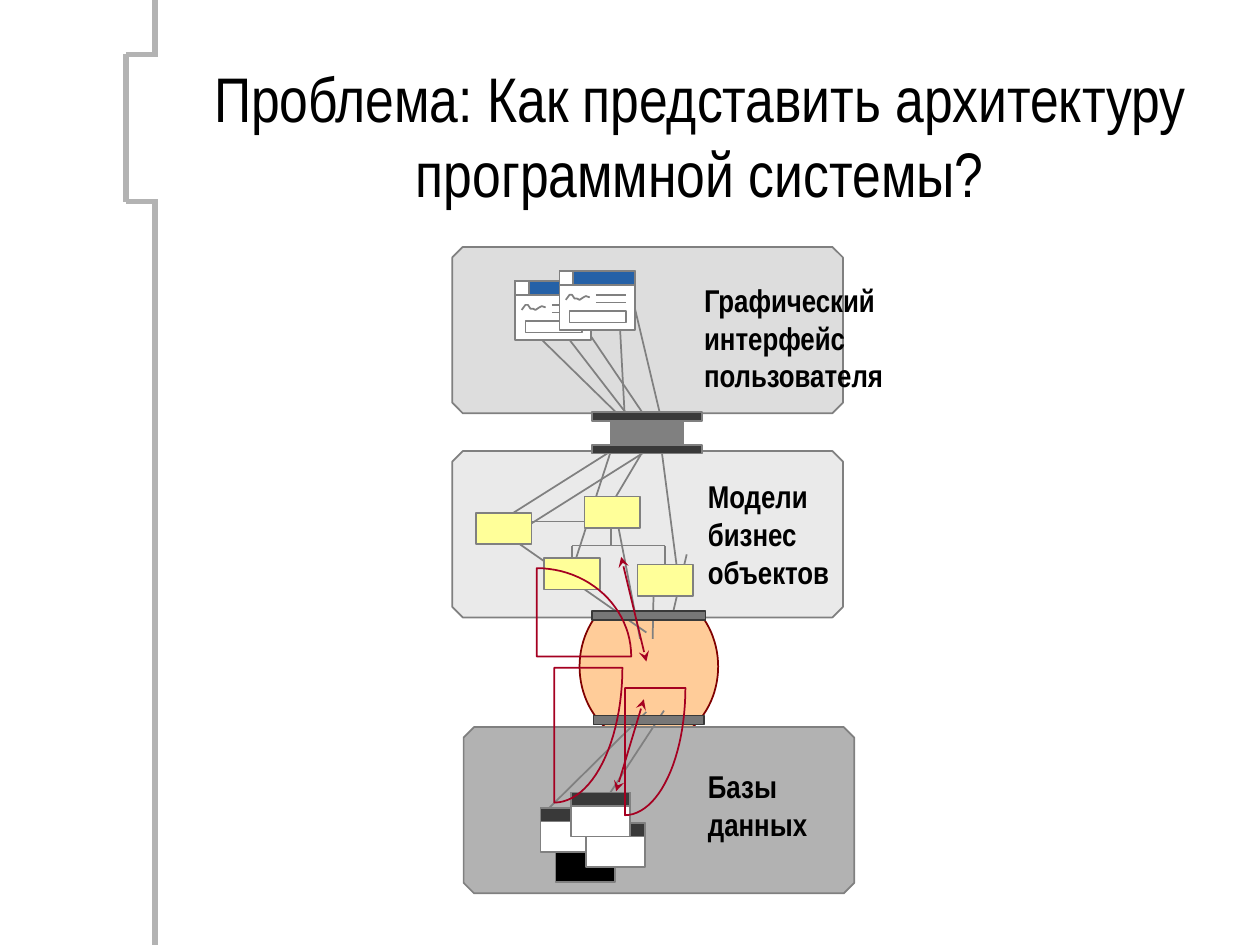
import math

import pptx
import pptx.dml.color
import pptx.enum.shapes
import pptx.enum.text
import pptx.oxml
import pptx.oxml.ns
import pptx.util

Inches = pptx.util.Inches
Pt = pptx.util.Pt
SHAPE = pptx.enum.shapes.MSO_SHAPE
ALIGN = pptx.enum.text.PP_ALIGN
ANCHOR = pptx.enum.text.MSO_ANCHOR
DRAWING_NS = pptx.oxml.ns.nsdecls("a")
COLORS = {
    "black": "000000", "white": "FFFFFF", "frame": "B3B3B3", "gray": "808080",
    "dark": "393939", "plate": "777777", "interface": "DDDDDD", "models": "EAEAEA",
    "databases": "B2B2B2", "peach": "FFCC99", "maroon": "800000",
    "yellow": "FFFF99", "blue": "2561A7", "red": "A50021",
}
COLORS = {name: pptx.dml.color.RGBColor.from_string(value) for name, value in COLORS.items()}

# Sizes shared by repeated parts, in inches
PANEL_WIDTH, PANEL_HEIGHT = 3.1, 1.32
OBJECT_WIDTH, OBJECT_HEIGHT = 0.44, 0.25
WINDOW_WIDTH, WINDOW_HEIGHT = 0.6, 0.47
TABLE_WIDTH, TABLE_HEIGHT = 0.47, 0.35
BAR_HEIGHT = 0.11
PLATE_HEIGHT = 0.07

presentation = pptx.Presentation()
presentation.slide_width = Inches(10)
presentation.slide_height = Inches(7.5)
slide = presentation.slides.add_slide(presentation.slide_layouts[6])


def add_box(text, left, top, width, height, *, kind=SHAPE.RECTANGLE, fill=None, line="gray",
            size=18, bold=True, align=ALIGN.LEFT, anchor=ANCHOR.TOP):
    """Add a filled shape, or a text box when there is no fill."""
    box = [Inches(value) for value in (left, top, width, height)]
    if fill is None:
        shape = slide.shapes.add_textbox(*box)
    else:
        shape = slide.shapes.add_shape(kind, *box)
        shape.shadow.inherit = False
        shape.fill.solid()
        shape.fill.fore_color.rgb = COLORS[fill]
        shape.line.color.rgb = COLORS[line]
        shape.line.width = Pt(1)
    if text:
        frame = shape.text_frame
        frame.word_wrap = True
        frame.vertical_anchor = anchor
        frame.text = text
        for paragraph in frame.paragraphs:
            paragraph.alignment = align
            paragraph.font.name = "Arial Narrow"
            paragraph.font.size = Pt(size)
            paragraph.font.bold = bold
            paragraph.font.color.rgb = COLORS["black"]
    return shape


def add_line(x1, y1, x2, y2, *, color="gray", weight=1, arrows=False):
    connector = slide.shapes.add_connector(
        pptx.enum.shapes.MSO_CONNECTOR.STRAIGHT,
        Inches(x1), Inches(y1), Inches(x2), Inches(y2))
    connector.line.color.rgb = COLORS[color]
    connector.line.width = Pt(weight)
    if arrows:
        for end in ("headEnd", "tailEnd"):
            connector.line._get_or_add_ln().append(
                pptx.oxml.parse_xml(f'<a:{end} {DRAWING_NS} type="stealth"/>'))
    connector._element.spPr.append(pptx.oxml.parse_xml(f"<a:effectLst {DRAWING_NS}/>"))


# Bracket at the left edge: a vertical rule that steps outwards beside the title
rule_x, step_x, step_top, step_bottom = 1.23, 1, 0.43, 1.6
add_line(rule_x, 0, rule_x, step_top, color="frame", weight=3)
add_line(step_x, step_top, step_x, step_bottom, color="frame", weight=3)
add_line(rule_x, step_bottom, rule_x, 7.5, color="frame", weight=3)
for y in (step_top, step_bottom):
    add_line(step_x, y, rule_x + 0.02, y, color="frame", weight=3)

add_box("Проблема: Как представить архитектуру программной системы?",
        1.3, 0.44, 8.51, 1.26, size=36, bold=False, align=ALIGN.CENTER, anchor=ANCHOR.MIDDLE)

# Layers of the system; the round coupling lies behind the panels
add_box("", 4.6, 4.67, 1.1, 1.24, kind=SHAPE.OVAL, fill="peach", line="maroon")
for left, top, fill in [(3.59, 3.58, "models"), (3.59, 1.96, "interface"),
                        (3.68, 5.77, "databases")]:
    panel = add_box("", left, top, PANEL_WIDTH, PANEL_HEIGHT, kind=SHAPE.OCTAGON, fill=fill)
    panel.adjustments[0] = 0.063
add_box("Графический\nинтерфейс\nпользователя", 5.49, 2.18, 1.64, 1.3)
add_box("Модели\nбизнес\nобъектов", 5.52, 3.74, 1.2, 1)
add_box("Базы данных", 5.52, 6.04, 1.59, 0.7)

# Links fan out from the upper coupling: first to windows, then to business objects
for ends in [(4.13, 2.53, 5.06, 3.44), (4.36, 2.49, 5.14, 3.5), (4.91, 2.4, 4.97, 3.52),
             (4.63, 2.58, 5.21, 3.44), (5.03, 2.41, 5.28, 3.46),
             (5.04, 3.46, 3.9, 4.18), (4.9, 3.42, 4.53, 4.56), (5.24, 3.49, 5.39, 4.64),
             (5.21, 3.4, 4.8, 4.09), (5.35, 3.44, 4.05, 4.26)]:
    add_line(*ends)
add_box("", 4.85, 3.27, 0.57, 0.32, fill="gray")
for top in (3.27, 3.53):
    add_box("", 4.7, top, 0.87, PLATE_HEIGHT, fill="dark")

# Links from business objects down into the round coupling
for ends in [(3.94, 4.19, 5.13, 5.02), (4.88, 4.04, 5.08, 5.07),
             (5.45, 4.4, 5.33, 4.91), (5.19, 4.56, 5.18, 5.07)]:
    add_line(*ends)

# Business objects: a parent with a peer at its left and two children below
peer, parent, children = (3.78, 4.07), (4.64, 3.94), [(4.32, 4.43), (5.06, 4.48)]
for left, top in [peer, parent, *children]:
    add_box("", left, top, OBJECT_WIDTH, OBJECT_HEIGHT, fill="yellow")
branch_y = 4.33
child_centers = [left + OBJECT_WIDTH / 2 for left, top in children]
add_line(child_centers[0], branch_y, child_centers[1], branch_y)
for center, (left, top) in zip(child_centers, children):
    add_line(center, branch_y, center, top)
add_line(4.85, parent[1] + OBJECT_HEIGHT, 4.85, branch_y)
add_line(peer[0] + OBJECT_WIDTH, 4.14, parent[0], 4.14)

# Interface windows: title bar, button, two text lines, signature and input field
signature = [(0.05, 0.23), (0.08, 0.19), (0.1, 0.19), (0.12, 0.22), (0.14, 0.22),
             (0.16, 0.23), (0.19, 0.21), (0.21, 0.2), (0.24, 0.21)]
for left, top in [(4.09, 2.23), (4.44, 2.15)]:
    add_box("", left, top, WINDOW_WIDTH, WINDOW_HEIGHT, fill="white")
    add_box("", left, top, WINDOW_WIDTH, BAR_HEIGHT, fill="blue")
    add_box("", left, top, BAR_HEIGHT, BAR_HEIGHT, fill="white")
    for offset in (0.19, 0.25):
        add_line(left + 0.29, top + offset, left + 0.53, top + offset)
    points = [(Inches(left + x), Inches(top + y)) for x, y in signature]
    builder = slide.shapes.build_freeform(*points[0])
    builder.add_line_segments(points[1:], close=False)
    curve = builder.convert_to_shape()
    curve.shadow.inherit = False
    curve.fill.solid()
    curve.fill.fore_color.rgb = COLORS["white"]
    curve.line.color.rgb = COLORS["gray"]
    curve.line.width = Pt(1)
    add_box("", left + 0.08, top + 0.32, 0.45, 0.09, fill="white")

# Database tables on a diagonal grid, with their links to the round coupling
add_line(4.29, 6.48, 5.13, 5.65)
add_line(4.53, 6.77, 5.27, 5.64)
for column, row, fill in [(1, 3, "black"), (0, 1, "white"), (3, 2, "white"), (2, 0, "white")]:
    left, top = 4.29 + 0.12 * column, 6.29 + 0.12 * row
    add_box("", left, top, TABLE_WIDTH, TABLE_HEIGHT, fill=fill)
    add_box("", left, top, TABLE_WIDTH, BAR_HEIGHT, fill="dark")

# Plates of the round coupling and two-way arrows through it
for left, top, width in [(4.71, 5.68, 0.88), (4.7, 4.85, 0.9)]:
    add_box("", left, top, width, PLATE_HEIGHT, fill="plate", line="dark")
for ends in [(4.89, 6.28, 5.11, 5.55), (4.93, 4.42, 5.13, 5.25)]:
    add_line(*ends, color="red", arrows=True)

# Quarter sectors: corner, then signed radii
STEPS = 24
angles = [math.pi / 2 * step / STEPS for step in range(STEPS + 1)]
for corner_x, corner_y, radius_x, radius_y in [
        (4.96, 5.46, 0.48, 1.01), (4.26, 5.21, 0.75, -0.7), (4.4, 5.3, 0.54, 1.07)]:
    arc = [(Inches(corner_x + radius_x * math.cos(angle)),
            Inches(corner_y + radius_y * math.sin(angle))) for angle in angles]
    builder = slide.shapes.build_freeform(Inches(corner_x), Inches(corner_y))
    builder.add_line_segments(arc, close=True)
    sector = builder.convert_to_shape()
    sector.shadow.inherit = False
    sector.fill.background()
    sector.line.color.rgb = COLORS["red"]
    sector.line.width = Pt(1)

presentation.save("out.pptx")
